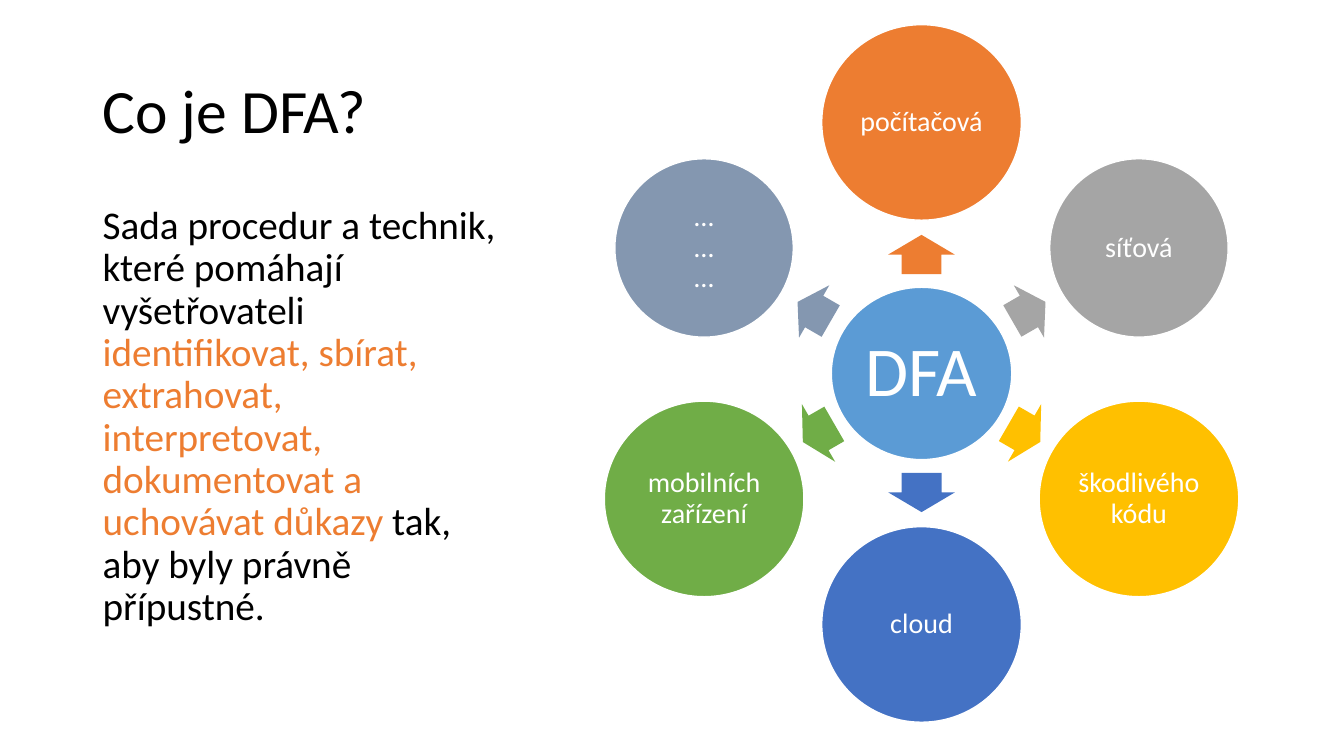
from dataclasses import dataclass
from math import cos, radians, sin

from pptx import Presentation
from pptx.dml.color import RGBColor as Color
from pptx.enum.shapes import MSO_SHAPE as Preset
from pptx.enum.text import MSO_ANCHOR as Anchor, PP_ALIGN as Align
from pptx.util import Inches, Pt


@dataclass(frozen=True)
class Theme:
    """Colours, font and type sizes of the deck."""
    font: str = "Calibri"
    ink: str = "000000"
    paper: str = "FFFFFF"
    hub: str = "5B9BD5"
    accent: str = "ED7D31"
    title: int = 44
    body: int = 28
    hub_label: int = 50
    label: int = 20


@dataclass(frozen=True)
class Box:
    """A rectangle in inches."""
    left: float
    top: float
    width: float
    height: float

    def share(self, left, top, width, height):
        """Return the inner box given as shares of this one."""
        return Box(self.left + left * self.width, self.top + top * self.height,
                   width * self.width, height * self.height)

    def around(self, x, y, width, height):
        """Return a box of a given size centred at an offset from this centre."""
        return Box(self.left + (self.width - width) / 2 + x,
                   self.top + (self.height - height) / 2 + y, width, height)

    def lengths(self):
        """Return the four lengths for python-pptx."""
        return [Inches(value) for value in (self.left, self.top, self.width, self.height)]


THEME = Theme()
SLIDE = Box(0, 0, 13.33, 7.5)
LARGE, SMALL = (1.98, 1.94), (1.77, 1.77)
RING_RADIUS = 2.49
TOPICS = [
    ("počítačová", THEME.accent, LARGE, (0.39, 0.66), 1.18),
    ("síťová", "A5A5A5", SMALL, (0.38, 0.6), 1.23),
    ("škodlivého kódu", "FFC000", LARGE, (0.36, 0.66), 1.18),
    ("cloud", "4472C4", LARGE, (0.39, 0.66), 1.18),
    ("mobilních zařízení", "70AD47", LARGE, (0.36, 0.66), 1.18),
    ("…\n…\n…", "8497B0", SMALL, (0.38, 0.6), 1.23),
]
DEFINITION = [
    ("Sada procedur a technik, které pomáhají vyšetřovateli ", THEME.ink),
    ("identifikovat, sbírat, extrahovat, interpretovat, dokumentovat a uchovávat důkazy ",
     THEME.accent),
    ("tak, aby byly právně přípustné.", THEME.ink),
]


def apply(target, values):
    """Set each named attribute of the target."""
    for name, value in values.items():
        setattr(target, name, value)


def write(frame, spans, size, align, frame_format):
    """Fill a text frame with one paragraph of coloured spans."""
    apply(frame, {"word_wrap": True, **frame_format})
    para = frame.paragraphs[0]
    apply(para, {"alignment": align, "line_spacing": 0.9})
    for text, colour in spans:
        for index, line in enumerate(text.split("\n")):
            if index:
                para.add_line_break()
            span = para.add_run()
            span.text = line
            apply(span.font, {"name": THEME.font, "size": Pt(size)})
            span.font.color.rgb = Color.from_string(colour)


def add_text(page, box, spans, size, anchor):
    """Place a left-aligned text box."""
    frame = page.shapes.add_textbox(*box.lengths()).text_frame
    write(frame, spans, size, Align.LEFT, {"vertical_anchor": anchor})


def add_filled(page, preset, box, colour):
    """Place a flat preset shape without an outline."""
    shape = page.shapes.add_shape(preset, *box.lengths())
    shape.shadow.inherit = False
    shape.fill.solid()
    shape.fill.fore_color.rgb = Color.from_string(colour)
    shape.line.fill.background()
    return shape


def add_bubble(page, box, label, colour, size, inset):
    """Place a white-edged circle with a centred label."""
    bubble = add_filled(page, Preset.OVAL, box, colour)
    bubble.line.color.rgb = Color.from_string(THEME.paper)
    bubble.line.width = Pt(1)
    margins = {f"margin_{side}": Inches(inset) for side in ("left", "top", "right", "bottom")}
    write(bubble.text_frame, [(label, THEME.paper)], size, Align.CENTER,
          {"vertical_anchor": Anchor.MIDDLE, **margins})


def add_arrow(page, box, angle, colour):
    """Place a block arrow pointing along the angle."""
    arrow = add_filled(page, Preset.RIGHT_ARROW, box, colour)
    arrow.rotation = angle
    arrow.adjustments[0], arrow.adjustments[1] = 0.6, 0.5


def add_definition(page, box):
    """Place the heading and the definition."""
    add_text(page, box.share(0, 0, 1, 0.23), [("Co je DFA?", THEME.ink)],
             THEME.title, Anchor.MIDDLE)
    add_text(page, box.share(0, 0.25, 1, 0.75), DEFINITION, THEME.body, Anchor.TOP)


def add_radial(page, box):
    """Place the hub with its topics spread evenly around it."""
    add_bubble(page, box.around(0, 0, 1.79, 1.71), "DFA", THEME.hub, THEME.hub_label, 0.07)
    step = 360 / len(TOPICS)
    for index, (label, colour, size, arrow_size, arrow_radius) in enumerate(TOPICS):
        angle = (270 + index * step) % 360
        x, y = cos(radians(angle)), sin(radians(angle))
        add_arrow(page, box.around(x * arrow_radius, y * arrow_radius, *arrow_size),
                  angle, colour)
        add_bubble(page, box.around(x * RING_RADIUS, y * RING_RADIUS, *size),
                   label, colour, THEME.label, 0.03)


def main():
    """Build and save the deck."""
    deck = Presentation()
    deck.slide_width, deck.slide_height = Inches(SLIDE.width), Inches(SLIDE.height)
    page = deck.slides.add_slide(deck.slide_layouts[6])
    add_definition(page, Box(0.92, 0.4, 4.13, 6.36))
    add_radial(page, Box(6, 0.25, 6.28, 6.91))
    deck.save("out.pptx")


if __name__ == "__main__":
    main()
